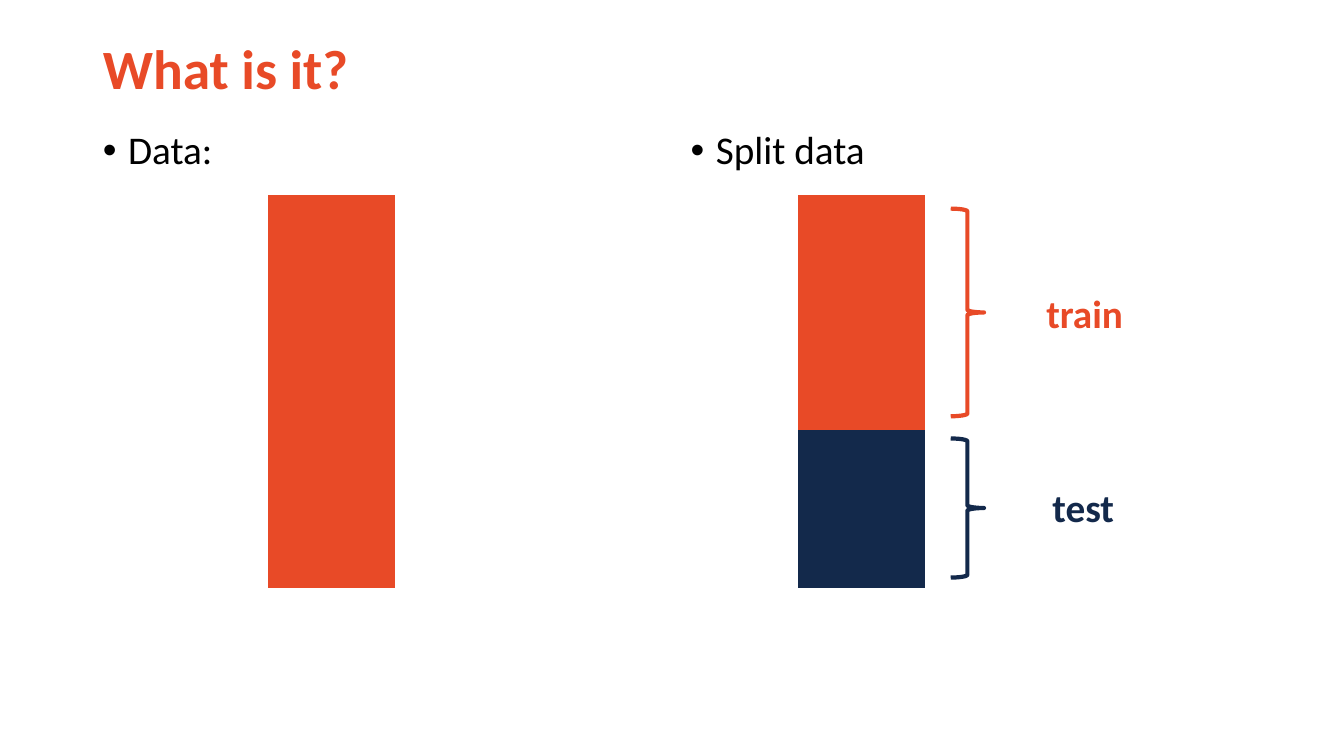
import pptx
import pptx.dml.color
import pptx.enum.shapes
import pptx.enum.text
import pptx.util
import pptx.oxml
import pptx.oxml.ns

Inches = pptx.util.Inches
ORANGE = "E84A27"
NAVY = "13294B"
BLACK = "000000"
NO_GRID_STYLE = "{2D5ABB26-0587-4C30-8999-92F81FD0307C}"
ROW_HEIGHT = 0.78


def color(hex_value):
    return pptx.dml.color.RGBColor.from_string(hex_value)


def place(shape, box):
    shape.left, shape.top, shape.width, shape.height = map(Inches, box)


def add_span(para, text, size, hex_value, bold=False):
    span = para.add_run()
    span.text = text
    span.font.name = "Calibri"
    span.font.size = pptx.util.Pt(size)
    span.font.bold = bold
    span.font.color.rgb = color(hex_value)


def fill_title(title, box, text):
    place(title, box)
    title.text_frame.vertical_anchor = pptx.enum.text.MSO_ANCHOR.MIDDLE
    para = title.text_frame.paragraphs[0]
    para.alignment = pptx.enum.text.PP_ALIGN.LEFT
    para.line_spacing = 0.9
    add_span(para, text, 39.6, ORANGE, bold=True)


def fill_body(body, box, text):
    place(body, box)
    para = body.text_frame.paragraphs[0]
    properties = para._p.get_or_add_pPr()
    properties.set("marL", str(Inches(0.25)))
    properties.set("indent", str(Inches(-0.25)))
    namespace = pptx.oxml.ns.nsdecls("a")
    properties.append(pptx.oxml.parse_xml(f'<a:buFont {namespace} typeface="Arial"/>'))
    properties.append(pptx.oxml.parse_xml(f'<a:buChar {namespace} char="•"/>'))
    para.line_spacing = 0.9
    para.space_before = pptx.util.Pt(0)
    add_span(para, text, 28, BLACK)


def add_data_column(slide, left, top, row_colors):
    """Draw a one-column table with one coloured cell per share of the data."""
    count = len(row_colors)
    frame = slide.shapes.add_table(
        count, 1, Inches(left), Inches(top), Inches(1.26), Inches(ROW_HEIGHT * count))
    table = frame.table
    table.first_row = table.horz_banding = False
    table._tbl.tblPr.find(pptx.oxml.ns.qn("a:tableStyleId")).text = NO_GRID_STYLE
    for cell, hex_value in zip(table.iter_cells(), row_colors):
        cell.fill.solid()
        cell.fill.fore_color.rgb = color(hex_value)


def add_braced_label(slide, brace_box, label_box, text, hex_value):
    brace = slide.shapes.add_shape(
        pptx.enum.shapes.MSO_SHAPE.RIGHT_BRACE, *map(Inches, brace_box))
    brace.shadow.inherit = False
    brace.fill.background()
    brace.line.color.rgb = color(hex_value)
    brace.line.width = pptx.util.Pt(3)

    label = slide.shapes.add_textbox(*map(Inches, label_box))
    label.text_frame.word_wrap = True
    label.text_frame.auto_size = pptx.enum.text.MSO_AUTO_SIZE.SHAPE_TO_FIT_TEXT
    add_span(label.text_frame.paragraphs[0], text, 28, hex_value, bold=True)


def build_split_slide(deck):
    slide = deck.slides.add_slide(deck.slide_layouts.get_by_name("Two Content"))
    title, data_body, split_body = slide.placeholders
    fill_title(title, (0.92, 0.38, 11.5, 0.66), "What is it?")
    fill_body(data_body, (0.92, 1.25, 5.67, 5.01), "Data:")
    fill_body(split_body, (6.75, 1.25, 5.67, 5.01), "Split data")
    add_data_column(slide, 2.66, 1.93, [ORANGE] * 5)
    add_data_column(slide, 7.91, 1.93, [ORANGE] * 3 + [NAVY] * 2)
    add_braced_label(slide, (9.43, 2.07, 0.33, 2.06), (10.28, 2.82, 1.85, 0.57),
                     "train", ORANGE)
    add_braced_label(slide, (9.43, 4.35, 0.33, 1.38), (10.34, 4.75, 0.91, 0.57),
                     "test", NAVY)


def main():
    deck = pptx.Presentation()
    deck.slide_width = Inches(13.33)
    deck.slide_height = Inches(7.5)
    build_split_slide(deck)
    deck.save("out.pptx")


if __name__ == "__main__":
    main()
